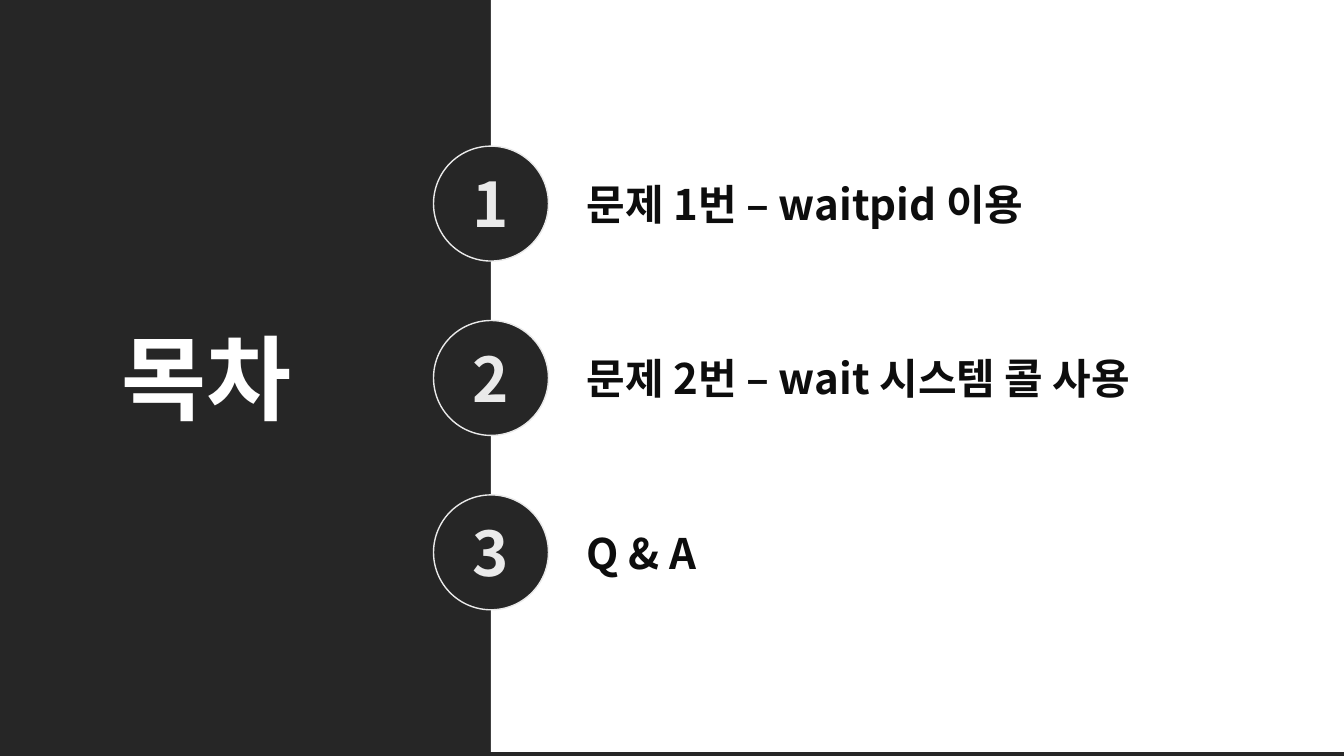
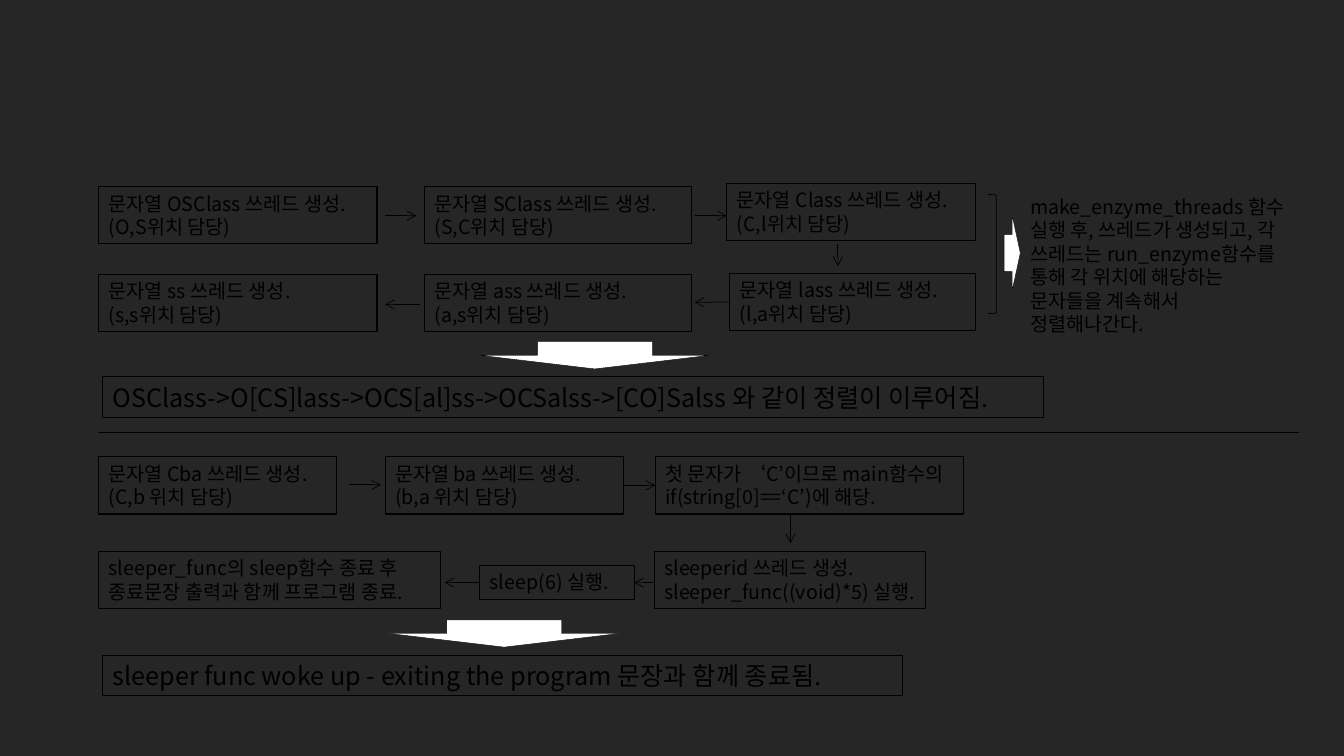
from lxml import etree
from pptx import Presentation
from pptx.dml.color import RGBColor
from pptx.enum import shapes, text
from pptx.oxml import ns
from pptx.util import Inches, Pt

FONT = "Noto Sans CJK KR"
DARK = RGBColor(0x26, 0x26, 0x26)
PALE = RGBColor(0xEA, 0xEA, 0xEA)
INK = RGBColor(0x0D, 0x0D, 0x0D)
WHITE = RGBColor(0xFF, 0xFF, 0xFF)
BLACK = RGBColor(0x00, 0x00, 0x00)
KIND = shapes.MSO_SHAPE
TOP, LEFT, BOTTOM, RIGHT = range(4)


# Shared elements
def write(sp, content, size, color, bold=False, wrap=True, grow=True, before=0):
    tf = sp.text_frame
    tf.text = content
    tf.word_wrap = wrap
    tf.auto_size = (text.MSO_AUTO_SIZE.SHAPE_TO_FIT_TEXT if grow
                    else text.MSO_AUTO_SIZE.NONE)
    tf.vertical_anchor = text.MSO_ANCHOR.TOP if grow else text.MSO_ANCHOR.MIDDLE
    for p in tf.paragraphs:
        p.alignment = text.PP_ALIGN.LEFT
        p.space_before = Pt(before)
        for r in p.runs:
            r.font.name, r.font.size, r.font.bold = FONT, Pt(size), bold
            r.font.color.rgb = color
            ea = etree.SubElement(r.font._element, ns.qn("a:ea"))
            ea.set("typeface", FONT)


def add_text(parent, at, *args, **kwargs):
    sp = parent.shapes.add_textbox(*map(Inches, at))
    write(sp, *args, **kwargs)
    return sp


def add_shape(parent, kind, at, fill=None, line=None, width=0.75):
    sp = parent.shapes.add_shape(kind, *map(Inches, at))
    sp.shadow.inherit = False
    if fill is None:
        sp.fill.background()
    else:
        sp.fill.solid()
        sp.fill.fore_color.rgb = fill
    if line is None:
        sp.line.fill.background()
    else:
        sp.line.color.rgb = line
        sp.line.width = Pt(width)
    return sp


def add_box(slide, at, content, size=14, wrap=True):
    sp = add_shape(slide, KIND.RECTANGLE, at, line=BLACK)
    write(sp, content, size, BLACK, wrap=wrap)
    return sp


def add_line(slide, start, end, arrow=True, begin=None, finish=None):
    """Draw a thin line; begin and finish are (box, side) joints."""
    c = slide.shapes.add_connector(shapes.MSO_CONNECTOR.STRAIGHT,
                                   *map(Inches, start + end))
    if begin:
        c.begin_connect(*begin)
    if finish:
        c.end_connect(*finish)
    c.line.color.rgb = BLACK
    c.line.width = Pt(0.5)
    if arrow:
        tail = etree.SubElement(c.line._get_or_add_ln(), ns.qn("a:tailEnd"))
        tail.set("type", "arrow")
    etree.SubElement(c._element.spPr, ns.qn("a:effectLst"))


# Contents slide
def add_item(slide, number, label):
    top = 1.45 + 1.73 * (number - 1)
    badge = slide.shapes.add_group_shape()
    add_shape(badge, KIND.OVAL, (4.3, top, 1.14, 1.14), DARK, PALE, 1)
    add_text(badge, (4.59, top + 0.15, 0.57, 0.84), str(number), 44, PALE,
             bold=True, wrap=False)
    add_text(slide, (5.72, top + 0.06, 7.05, 1.02), label, 30, INK,
             bold=True, grow=False, before=10)


def build_contents(slide):
    add_shape(slide, KIND.RECTANGLE, (4.87, -0.04, 8.47, 7.5), WHITE)
    labels = ("문제 1번 – waitpid 이용", "문제 2번 – wait 시스템 콜 사용", "Q & A")
    for number, label in enumerate(labels, 1):
        add_item(slide, number, label)
    add_text(slide, (1.11, 3.14, 1.94, 1.21), "목차", 66, WHITE,
             bold=True, wrap=False)


# Thread flow slide
def add_thread(slide, left, top, width, name, duty):
    return add_box(slide, (left, top, width, 0.57),
                   f"문자열 {name} 쓰레드 생성.\n({duty}위치 담당)")


def add_result(slide, top, width, arrow_left, content):
    add_box(slide, (1.02, top, width, 0.4), content, 18, wrap=False)
    add_shape(slide, KIND.DOWN_ARROW, (arrow_left, top - 0.35, 2.28, 0.27),
              WHITE, BLACK, 0.25)


def build_sorting(slide):
    add_thread(slide, 0.98, 1.85, 2.76, "OSClass", "O,S")
    add_thread(slide, 4.21, 1.85, 2.65, "SClass", "S,C")
    add_thread(slide, 7.21, 1.82, 2.47, "Class", "C,l")
    lass = add_thread(slide, 7.24, 2.71, 2.44, "lass", "l,a")
    add_thread(slide, 4.21, 2.72, 2.65, "ass", "a,s")
    add_thread(slide, 0.98, 2.72, 2.76, "ss", "s,s")
    add_line(slide, (3.82, 2.14), (4.13, 2.14))
    add_line(slide, (6.89, 2.14), (7.21, 2.14))
    add_line(slide, (8.31, 2.42), (8.31, 2.64))
    add_line(slide, (7.24, 3), (6.89, 3), begin=(lass, LEFT))
    add_line(slide, (4.17, 3.02), (3.82, 3.02))

    # Side explanation
    add_text(slide, (10.12, 1.88, 2.76, 1.51),
             "make_enzyme_threads 함수 실행 후, 쓰레드가 생성되고, 각 쓰레드는 "
             "run_enzyme함수를 통해 각 위치에 해당하는 문자들을 계속해서 정렬해나간다.",
             14, BLACK)
    add_shape(slide, KIND.RIGHT_BRACKET, (9.8, 1.93, 0.08, 1.18),
              line=BLACK, width=0.5)
    add_shape(slide, KIND.RIGHT_ARROW, (9.96, 2.14, 0.16, 0.74),
              WHITE, BLACK, 0.25)
    add_result(slide, 3.74, 9.33, 4.76,
               "OSClass->O[CS]lass->OCS[al]ss->OCSalss->[CO]Salss "
               "와 같이 정렬이 이루어짐.")


def build_exit(slide):
    add_thread(slide, 0.98, 4.53, 2.36, "Cba", "C,b ")
    ba = add_thread(slide, 3.82, 4.53, 2.36, "ba", "b,a ")
    check = add_box(slide, (6.5, 4.53, 3.06, 0.57),
                    "첫 문자가 ‘C’이므로 main함수의 if(string[0]==‘C’)에 해당.")
    add_box(slide, (6.49, 5.47, 2.69, 0.57),
            "sleeperid 쓰레드 생성. sleeper_func((void)*5) 실행.")
    sleep = add_box(slide, (4.76, 5.61, 1.53, 0.34), "sleep(6) 실행.")
    add_box(slide, (0.98, 5.47, 3.39, 0.57),
            "sleeper_func의 sleep함수 종료 후 종료문장 출력과 함께 프로그램 종료.")
    add_line(slide, (3.46, 4.81), (3.78, 4.81))
    add_line(slide, (6.18, 4.81), (6.5, 4.81),
             begin=(ba, RIGHT), finish=(check, LEFT))
    add_line(slide, (7.84, 5.1), (7.84, 5.39))
    add_line(slide, (6.48, 5.78), (6.29, 5.78), finish=(sleep, RIGHT))
    add_line(slide, (4.76, 5.78), (4.41, 5.78), begin=(sleep, LEFT))
    add_result(slide, 6.5, 7.93, 3.86,
               "sleeper func woke up - exiting the program 문장과 함께 종료됨.")


def build_flow(slide):
    build_sorting(slide)
    add_line(slide, (0.98, 4.29), (12.88, 4.29), arrow=False)
    build_exit(slide)


def main():
    prs = Presentation()
    prs.slide_width, prs.slide_height = Inches(13.33), Inches(7.5)
    background = prs.slide_master.background.fill
    background.solid()
    background.fore_color.rgb = DARK
    for build in (build_contents, build_flow):
        build(prs.slides.add_slide(prs.slide_layouts[6]))
    prs.save("out.pptx")


if __name__ == "__main__":
    main()
